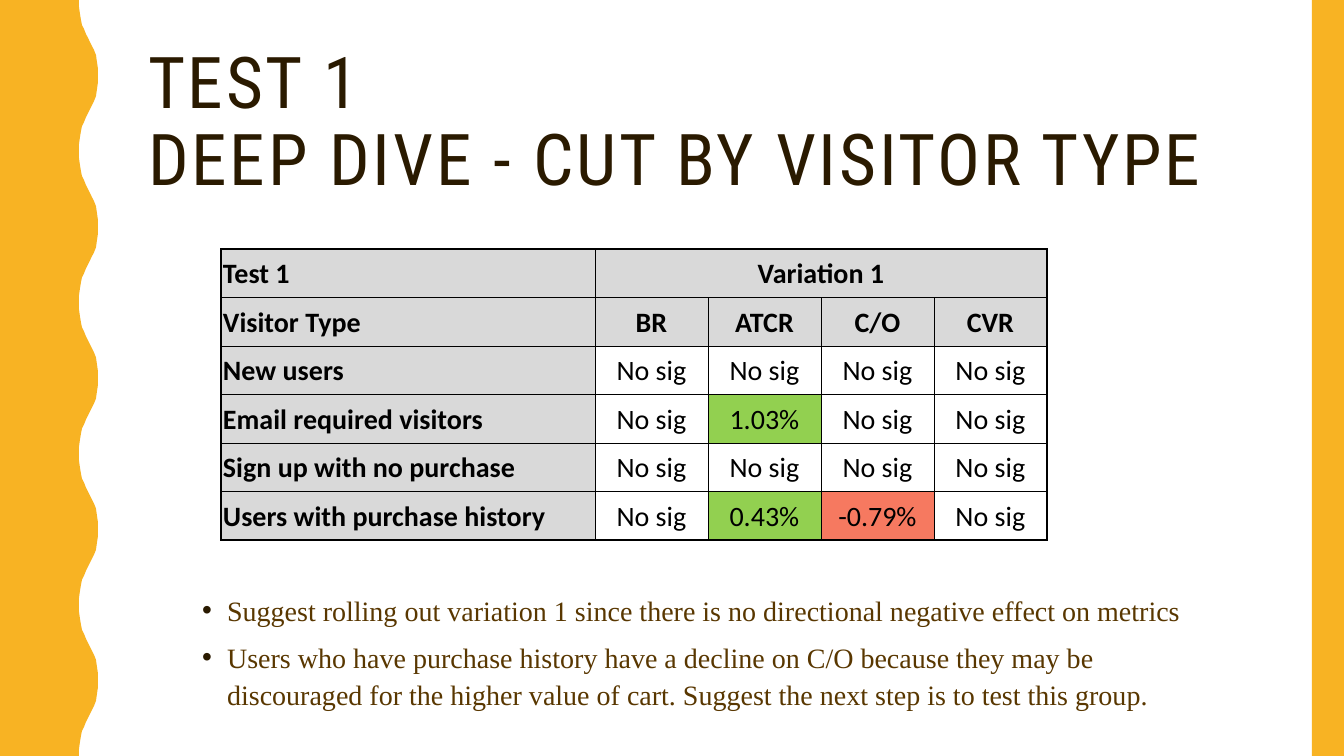
from lxml.etree import SubElement
from pptx import Presentation
from pptx.dml.color import RGBColor
from pptx.enum.shapes import MSO_SHAPE as Shape
from pptx.enum.text import MSO_ANCHOR as Anchor, MSO_AUTO_SIZE as AutoSize, PP_ALIGN as Align
from pptx.oxml.ns import qn
from pptx.util import Pt

PX = 914400 / 100.8
WIDTH, HEIGHT = 1344, 756

AMBER = RGBColor(0xF8, 0xB3, 0x23)
DARK = RGBColor(0x2A, 0x1A, 0x00)
BROWN = RGBColor(0x59, 0x37, 0x00)
BLACK = RGBColor(0x00, 0x00, 0x00)
WHITE = RGBColor(0xFF, 0xFF, 0xFF)
GREY = RGBColor(0xD9, 0xD9, 0xD9)
GREEN = RGBColor(0x92, 0xD0, 0x50)
RED = RGBColor(0xF6, 0x79, 0x60)

TITLE_LINES = ["TEST 1", "DEEP DIVE - CUT BY VISITOR TYPE"]
RESULTS = [
    ["Test 1", "Variation 1", "", "", ""],
    ["Visitor Type", "BR", "ATCR", "C/O", "CVR"],
    ["New users", "No sig", "No sig", "No sig", "No sig"],
    ["Email required visitors", "No sig", "1.03%", "No sig", "No sig"],
    ["Sign up with no purchase", "No sig", "No sig", "No sig", "No sig"],
    ["Users with purchase history", "No sig", "0.43%", "-0.79%", "No sig"],
]
FINDINGS = [
    "Suggest rolling out variation 1 since there is no directional negative effect on metrics",
    "Users who have purchase history have a decline on C/O because they may be "
    "discouraged for the higher value of cart. Suggest the next step is to test this group.",
]
# Half a wave of the left edge, as (x, y)
HALF_WAVE = [(79, 0), (79, 7), (80, 14), (81, 20), (82, 25), (84, 29), (86, 34), (88, 38),
             (90, 42), (92, 46), (94, 50), (96, 55), (97, 62), (98, 69), (98, 75)]
WAVES = 5


def emu(px):
    return round(px * PX)


def apply(target, values):
    for name, value in values.items():
        setattr(target, name, value)


class SlideBuilder:
    title_font = {"name": "Roboto Condensed", "size": Pt(51), "bold": False}
    table_font = {"name": "Calibri", "size": Pt(20)}
    list_font = {"name": "Times New Roman", "size": Pt(20)}

    def __init__(self, page):
        self.page = page
        page.background.fill.solid()
        page.background.fill.fore_color.rgb = WHITE

    def place(self, box, left, top, width, height):
        apply(box, {"left": emu(left), "top": emu(top),
                    "width": emu(width), "height": emu(height)})

    def paint(self, shape, color):
        shape.shadow.inherit = False
        shape.fill.solid()
        shape.fill.fore_color.rgb = color
        shape.line.fill.background()

    def add_span(self, para, text, font, color):
        span = para.add_run()
        span.text = text
        apply(span.font, font)
        span.font.color.rgb = color
        return span

    def bar(self, left, top, width, height, color):
        shape = self.page.shapes.add_shape(
            Shape.RECTANGLE, emu(left), emu(top), emu(width), emu(height))
        self.paint(shape, color)

    def wavy_band(self, color):
        period = HEIGHT / WAVES
        wave = HALF_WAVE + [(x, period - y) for x, y in reversed(HALF_WAVE)]
        edge = [(emu(x), emu(y + period * index)) for index in range(WAVES) for x, y in wave]
        outline = self.page.shapes.build_freeform(0, 0)
        outline.add_line_segments(edge + [(0, emu(HEIGHT))], close=True)
        self.paint(outline.convert_to_shape(), color)

    def title(self, lines, *frame):
        box = self.page.shapes.title
        self.place(box, *frame)
        apply(box.text_frame, {"vertical_anchor": Anchor.MIDDLE, "word_wrap": True,
                               "auto_size": AutoSize.NONE})
        para = box.text_frame.paragraphs[0]
        apply(para, {"alignment": Align.LEFT, "line_spacing": 0.9})
        for index, line in enumerate(lines):
            if index:
                para.add_line_break()
            span = self.add_span(para, line, self.title_font, DARK)
            span._r.get_or_add_rPr().set("spc", "200")

    def bullets(self, items, *frame):
        box = self.page.placeholders[1]
        self.place(box, *frame)
        apply(box.text_frame, {"vertical_anchor": Anchor.TOP, "word_wrap": True,
                               "auto_size": AutoSize.SHAPE_TO_FIT_TEXT})
        for index, item in enumerate(items):
            para = box.text_frame.add_paragraph() if index else box.text_frame.paragraphs[0]
            apply(para, {"line_spacing": 1.1, "space_before": Pt(7)})
            props = para._p.get_or_add_pPr()
            props.set("marL", str(emu(25)))
            props.set("indent", str(emu(-25)))
            SubElement(SubElement(props, qn("a:buClr")), qn("a:srgbClr"), val=str(DARK))
            SubElement(props, qn("a:buChar"), char="•")
            self.add_span(para, item, self.list_font, BROWN)

    def borders(self, cell, outer_sides):
        props = cell._tc.get_or_add_tcPr()
        for side in "LRTB":
            weight = Pt(1) if side in outer_sides else Pt(0.5)
            line = SubElement(props, qn(f"a:ln{side}"), w=str(int(weight)))
            SubElement(SubElement(line, qn("a:solidFill")), qn("a:srgbClr"), val=str(BLACK))

    def table(self, rows, left, top, column_widths, height, fill_for):
        frame = self.page.shapes.add_table(
            len(rows), len(column_widths), emu(left), emu(top),
            emu(sum(column_widths)), emu(height))
        grid = frame.table
        apply(grid, {"first_row": False, "horz_banding": False})
        for column, width in zip(grid.columns, column_widths):
            column.width = emu(width)
        for row in grid.rows:
            row.height = emu(height / len(rows))
        grid.cell(0, 1).merge(grid.cell(0, len(column_widths) - 1))
        for r, texts in enumerate(rows):
            for c, text in enumerate(texts):
                cell = grid.cell(r, c)
                last = c + cell.span_width == len(texts) or cell.is_spanned
                edges = {"L": c == 0, "R": last, "T": r == 0, "B": r == len(rows) - 1}
                self.borders(cell, [side for side, outer in edges.items() if outer])
                apply(cell, {"margin_left": emu(2), "margin_right": emu(2),
                             "margin_top": emu(2), "margin_bottom": 0,
                             "vertical_anchor": Anchor.MIDDLE})
                color = fill_for(r, c, text)
                if color is None:
                    cell.fill.background()
                else:
                    cell.fill.solid()
                    cell.fill.fore_color.rgb = color
                if text:
                    para = cell.text_frame.paragraphs[0]
                    para.alignment = Align.CENTER if c else Align.LEFT
                    font = {**self.table_font, "bold": r < 2 or c == 0}
                    self.add_span(para, text, font, BLACK)


def result_fill(row, column, text):
    if row < 2 or column == 0:
        return GREY
    if text.endswith("%"):
        return RED if text.startswith("-") else GREEN
    return None


def main():
    deck = Presentation()
    apply(deck, {"slide_width": emu(WIDTH), "slide_height": emu(HEIGHT)})
    builder = SlideBuilder(deck.slides.add_slide(deck.slide_layouts[1]))

    # Side decoration
    builder.wavy_band(AMBER)
    builder.bar(1312, 0, 32, HEIGHT, AMBER)

    # Heading, results and findings
    builder.title(TITLE_LINES, 138, 42, 1122, 164)
    builder.table(RESULTS, 221, 249, [374] + [113] * 4, 291, result_fill)
    builder.bullets(FINDINGS, 192, 585, 1026, 129)

    deck.save("out.pptx")


if __name__ == "__main__":
    main()
